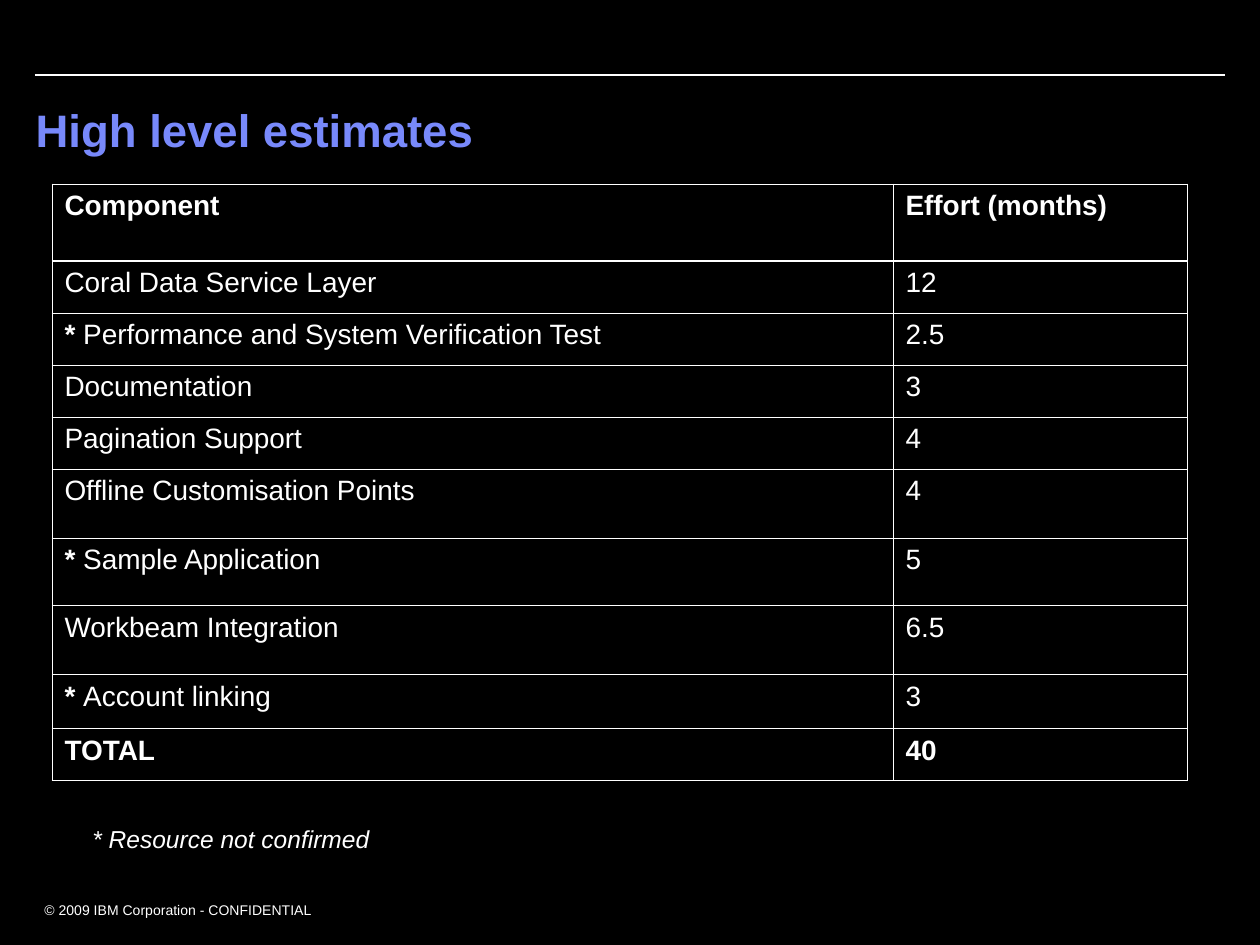
from lxml.etree import SubElement
from pptx import Presentation
from pptx.dml.color import RGBColor
from pptx.enum.shapes import MSO_CONNECTOR as CONNECTOR
from pptx.enum.text import MSO_ANCHOR as ANCHOR, PP_ALIGN as ALIGN
from pptx.oxml.ns import qn
from pptx.util import Emu, Pt

BLACK = RGBColor(0x00, 0x00, 0x00)
WHITE = RGBColor(0xFF, 0xFF, 0xFF)
PERIWINKLE = RGBColor(0x78, 0x89, 0xFB)
THIN, THICK = 0.45, 1.47  # table rules, points


def px(n):
    return Emu(n * 914400 // 126)


def write(frame, *runs, size=16, color=WHITE, bold=False, italic=False):
    """Fill a text frame; a run is a string or a (string, bold) pair."""
    frame.word_wrap = True
    paragraph = frame.paragraphs[0]
    paragraph.alignment = ALIGN.LEFT
    for item in runs:
        text, run_bold = item if isinstance(item, tuple) else (item, bold)
        run = paragraph.add_run()
        run.text = text
        font = run.font
        font.name, font.size, font.color.rgb = "Arial", Pt(size), color
        font.bold, font.italic = run_bold, italic


deck = Presentation()
deck.slide_width, deck.slide_height = px(1260), px(945)
slide = deck.slides.add_slide(deck.slide_layouts[5])
slide.background.fill.solid()
slide.background.fill.fore_color.rgb = BLACK

# Rule above the title
rule = slide.shapes.add_connector(CONNECTOR.STRAIGHT, px(35), px(75), px(1225), px(75))
rule.line.color.rgb = WHITE
rule.line.width = Pt(0.75)
SubElement(rule._element.spPr, qn("a:effectLst"))

# Title
title = slide.shapes.title
title.left, title.top, title.width, title.height = px(23), px(95), px(1208), px(68)
title.text_frame.vertical_anchor = ANCHOR.BOTTOM
write(title.text_frame, "High level estimates", size=26, color=PERIWINKLE, bold=True)

# Estimates: row height, component runs, effort
STAR = ("* ", True)
estimates = [
    (77, [("Component", True)], ("Effort (months)", True)),
    (52, ["Coral Data Service Layer"], "12"),
    (52, [STAR, "Performance and System Verification Test"], "2.5"),
    (52, ["Documentation"], "3"),
    (52, ["Pagination Support"], "4"),
    (69, ["Offline Customisation Points"], "4"),
    (68, [STAR, "Sample Application"], "5"),
    (69, ["Workbeam Integration"], "6.5"),
    (54, [STAR, "Account linking"], "3"),
    (52, [("TOTAL", True)], ("40", True)),
]
table_height = sum(height for height, _, _ in estimates)
table = slide.shapes.add_table(
    len(estimates), 2, px(52), px(184), px(1135), px(table_height)
).table
table.first_row = table.horz_banding = False
table.columns[0].width, table.columns[1].width = px(841), px(294)

for r, (height, component, effort) in enumerate(estimates):
    table.rows[r].height = px(height)
    for c, runs in enumerate((component, [effort])):
        cell = table.cell(r, c)
        write(cell.text_frame, *runs)
        # Borders come before the fill in the cell properties
        properties = cell._tc.get_or_add_tcPr()
        for side in ("L", "R", "T", "B"):
            under_header = (r, side) in ((0, "B"), (1, "T"))
            width = Pt(THICK if under_header else THIN)
            border = SubElement(properties, qn(f"a:ln{side}"), w=str(width))
            fill = SubElement(border, qn("a:solidFill"))
            SubElement(fill, qn("a:srgbClr"), val=str(WHITE))
        cell.fill.background()

# Footnote and copyright line
for text, box, size, italic in [
    ("* Resource not confirmed", (80, 818, 404, 42), 14, True),
    ("© 2009 IBM Corporation - CONFIDENTIAL", (32, 895, 421, 29), 8, False),
]:
    note = slide.shapes.add_textbox(*map(px, box))
    write(note.text_frame, text, size=size, italic=italic)

deck.save("out.pptx")
